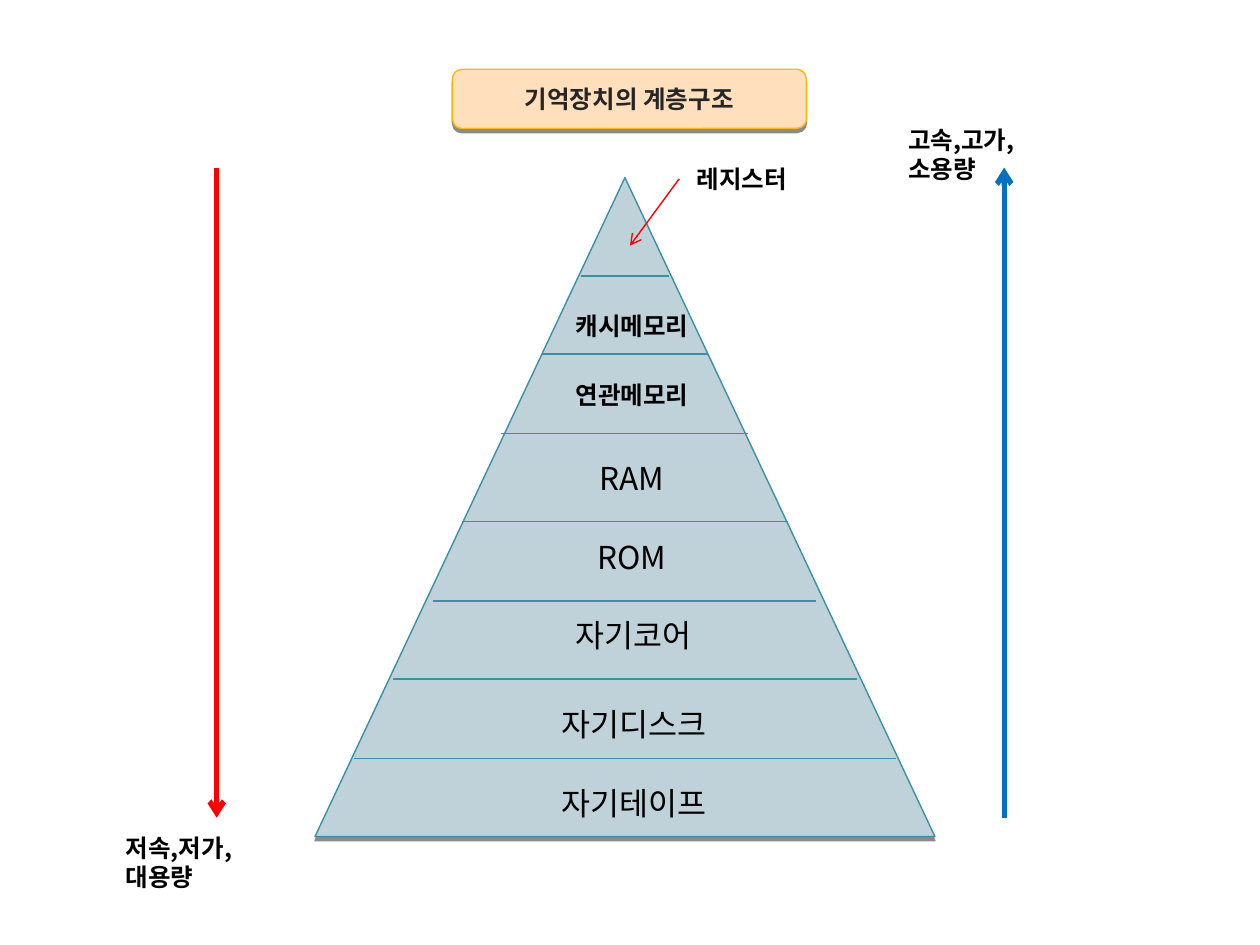
from pptx import Presentation
from pptx import util as u
from pptx.dml.color import RGBColor
from pptx.enum import shapes, text
from pptx.oxml import ns
from lxml import etree

FONT = "Noto Sans CJK KR"
TEAL, RED, BLUE, BLACK = "3891A7", "FF0000", "0070C0", "000000"
DIVIDERS = [(0.78, 0.35), (1.4, 0.66), (2.03, 0.98), (2.73, 1.29),
            (3.36, 1.52), (3.98, 1.84), (4.61, 2.15)]
LEVELS = [("캐시메모리", 1.01, 1.12, 14), ("연관메모리", 1.56, 1.12, 14),
          ("RAM", 2.18, 0.74, 18), ("ROM", 2.81, 0.78, 18),
          ("자기코어", 3.43, 1.12, 18), ("자기디스크", 4.14, 1.35, 18),
          ("자기테이프", 4.76, 1.35, 18)]


def colour(value):
    """Turn a hex string into a colour."""
    return RGBColor.from_string(value)


def add_xml(parent, tag, **attributes):
    """Append a drawing element to a parent element."""
    return etree.SubElement(parent, ns.qn(tag), attributes)


def add_panel(page, kind, box, fill, line):
    """Add a shape with a thin outline and a hard shadow below."""
    shape = page.shapes.add_shape(kind, *map(u.Inches, box))
    shape.fill.solid()
    shape.fill.fore_color.rgb = colour(fill)
    shape.line.color.rgb = colour(line)
    shape.line.width = u.Pt(0.79)
    shape.shadow.inherit = False
    effects = shape._element.spPr.find(ns.qn("a:effectLst"))
    shadow = add_xml(effects, "a:outerShdw", blurRad="0", dist=str(u.Pt(2.4)),
                     dir="5400000", algn="ctr", rotWithShape="0")
    tint = add_xml(shadow, "a:srgbClr", val=BLACK)
    add_xml(tint, "a:alpha", val="45000")
    return shape


def write(frame, words, size, bold, ink=BLACK):
    """Write one formatted paragraph into a text frame."""
    para = frame.paragraphs[0]
    para.text = words
    font = para.font
    font.name, font.size, font.bold = FONT, u.Pt(size), bold
    font.color.rgb = colour(ink)
    return para


def add_label(page, words, left, top, width, size=14, bold=True):
    """Add a text box holding one line."""
    height = 0.4 if size > 14 else 0.34
    box = page.shapes.add_textbox(u.Inches(left), u.Inches(top),
                                  u.Inches(width), u.Inches(height))
    box.text_frame.word_wrap = False
    write(box.text_frame, words, size, bold)
    return box


def add_line(page, start, end, ink, width=0.79, arrow=False):
    """Draw a straight line, with an arrowhead at its end if asked."""
    line = page.shapes.add_connector(
        shapes.MSO_CONNECTOR.STRAIGHT, *map(u.Inches, (*start, *end)))
    line.line.color.rgb = colour(ink)
    line.line.width = u.Pt(width)
    if arrow:
        add_xml(line.line._get_or_add_ln(), "a:tailEnd", type="arrow")
    add_xml(line._element.spPr, "a:effectLst")


def add_title(page, left, top, width, height):
    """Place the title on a rounded card."""
    card = add_panel(page, shapes.MSO_SHAPE.ROUNDED_RECTANGLE,
                     (left, top, width, height), "FFDFBC", "FEB80A")
    title = page.shapes.title
    card._element.addnext(title._element)
    title.left, title.top = card.left, card.top
    title.width, title.height = card.width, card.height
    frame = title.text_frame
    frame.auto_size = text.MSO_AUTO_SIZE.NONE
    frame.vertical_anchor = text.MSO_ANCHOR.MIDDLE
    para = write(frame, "기억장치의 계층구조", 14, True, "262626")
    para.alignment = text.PP_ALIGN.CENTER


def add_pyramid(page, left, top, width, height):
    """Draw the memory pyramid with its dividers and level names."""
    add_panel(page, shapes.MSO_SHAPE.ISOSCELES_TRIANGLE,
              (left, top, width, height), "BFD2D9", TEAL)
    middle = left + width / 2
    for drop, half in DIVIDERS:
        add_line(page, (middle - half, top + drop), (middle + half, top + drop), TEAL)
    for words, drop, span, size in LEVELS:
        add_label(page, words, middle + 0.07 - span / 2, top + drop, span, size, size == 14)
    add_label(page, "레지스터", left + 2.93, top - 0.16, 0.92)
    add_line(page, (left + 2.89, top + 0.01), (left + 2.5, top + 0.54), RED, arrow=True)


def add_scale(page, words, start, end, ink, left, top):
    """Draw a thick arrow and the caption beside its head."""
    add_line(page, start, end, ink, 3, True)
    frame = add_label(page, words, left, top, 1.75).text_frame
    frame.word_wrap = True
    frame.margin_right = u.Inches(0.3)


def main():
    """Build the slide and save it."""
    deck = Presentation()
    deck.slide_width, deck.slide_height = u.Inches(10), u.Inches(7.5)
    page = deck.slides.add_slide(deck.slide_layouts[5])
    add_pyramid(page, 2.5, 1.41, 4.92, 5.23)
    add_scale(page, "저속,저가,대용량", (1.72, 1.33), (1.72, 6.49), RED, 0.9, 6.56)
    add_scale(page, "고속,고가,소용량", (7.97, 6.49), (7.97, 1.33), BLUE, 7.11, 0.94)
    add_title(page, 3.59, 0.55, 2.81, 0.47)
    deck.save("out.pptx")


if __name__ == "__main__":
    main()
